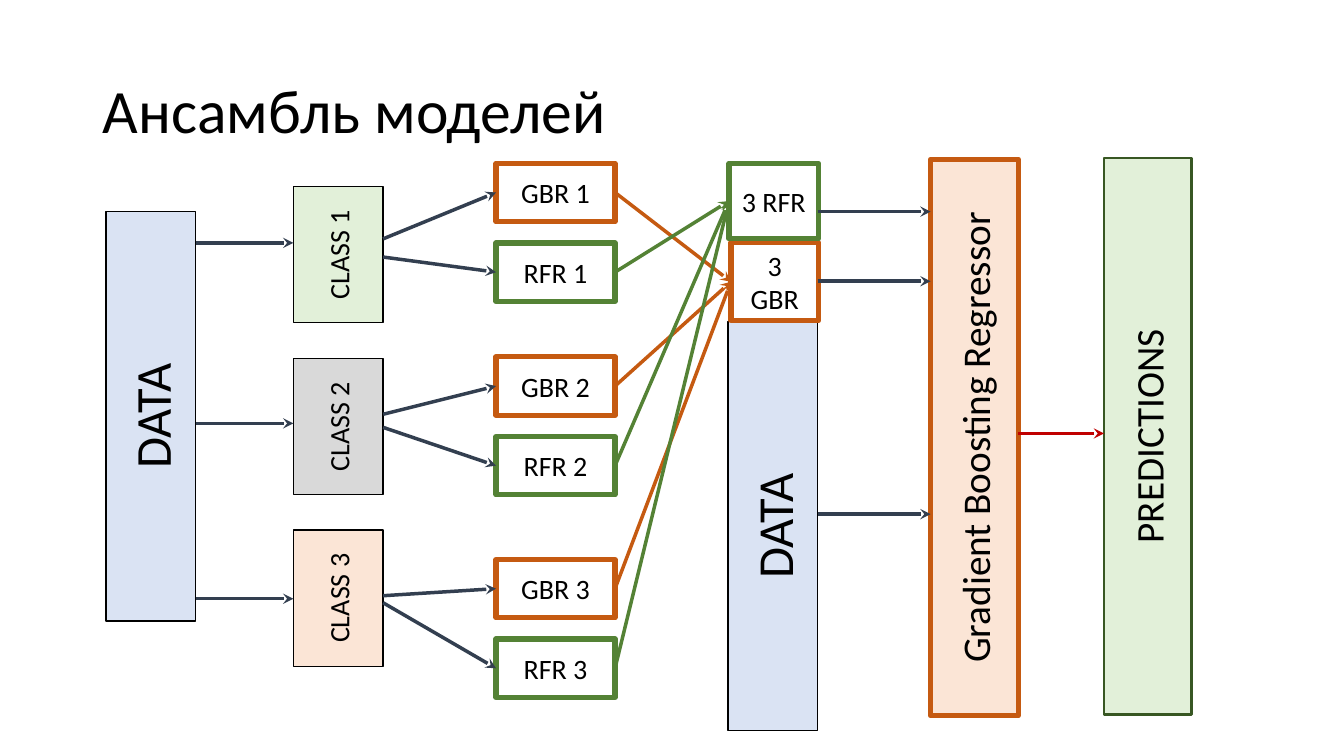
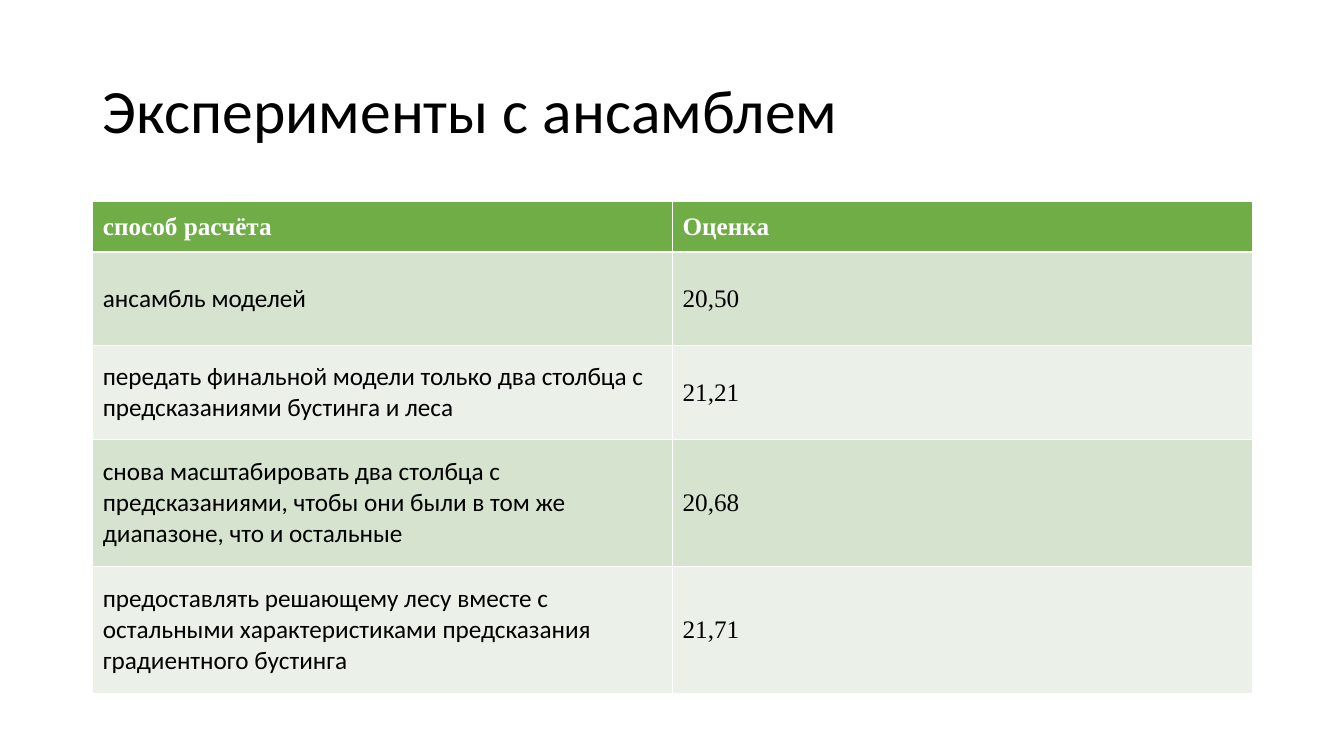
from lxml import etree
from pptx import Presentation
from pptx.dml.color import RGBColor
from pptx.enum.shapes import MSO_CONNECTOR, MSO_SHAPE
from pptx.enum.text import MSO_ANCHOR, PP_ALIGN
from pptx.oxml.ns import qn
from pptx.util import Inches, Pt

RECTANGLE = MSO_SHAPE.RECTANGLE
STRAIGHT = MSO_CONNECTOR.STRAIGHT
MIDDLE = MSO_ANCHOR.MIDDLE
LEFT, CENTER = PP_ALIGN.LEFT, PP_ALIGN.CENTER
LEFT_SITE, RIGHT_SITE = 1, 3

SANS, SERIF = "Calibri", "Times New Roman"
BLACK, WHITE = "000000", "FFFFFF"
ORANGE, GREEN, DARK_GREEN = "C55A11", "548235", "385723"
NAVY, RED = "333F50", "C00000"
PALE_BLUE, PALE_GREEN, PALE_ORANGE, GREY = "DAE3F3", "E2F0D9", "FBE5D6", "D9D9D9"
HEADER_FILL, BAND_FILLS = "70AD47", ("D5E3CF", "EBF1E9")

MARGIN, CONTENT_WIDTH = 0.92, 11.5

# Diagram columns: left edge and width
DATA_COLUMN = (1.05, 0.89)
CLASS_COLUMN = (2.91, 0.89)
MODEL_COLUMN = (4.92, 1.18)
STACK_COLUMN = (7.22, 0.89)
FINAL_COLUMN = (9.23, 0.87)
PREDICTION_COLUMN = (10.95, 0.87)

DATA_HEIGHT, FINAL_HEIGHT = 4.06, 5.52
CLASS_TOP, CLASS_HEIGHT, CLASS_STEP = 1.85, 1.35, 1.705
MODEL_HEIGHT, MODEL_STEP = 0.58, 0.79

# Name, fill, incoming arrow y, outgoing arrow ys, top of its first model
CLASSES = [
    ("CLASS 1", PALE_GREEN, 2.41, (2.37, 2.55), 1.62),
    ("CLASS 2", GREY, 4.2, (4.11, 4.24), 3.54),
    ("CLASS 3", PALE_ORANGE, 5.94, (5.91, 5.98), 5.55),
]
MODELS = [("GBR", ORANGE), ("RFR", GREEN)]
STACK_ARROWS = [2.1, 2.79, 5.1]
PREDICTION_ARROW = 4.3

TABLE_TOP = 2
ROW_HEIGHTS = [0.5, 0.93, 0.93, 1.26, 1.26]
ROWS = [
    ("способ расчёта", "Оценка"),
    ("ансамбль моделей", "20,50"),
    ("передать финальной модели только два столбца с предсказаниями бустинга и леса", "21,21"),
    ("снова масштабировать два столбца с предсказаниями, чтобы они были в том же "
     "диапазоне, что и остальные", "20,68"),
    ("предоставлять решающему лесу вместе с остальными характеристиками предсказания "
     "градиентного бустинга", "21,71"),
]


def color(hex_string):
    return RGBColor.from_string(hex_string)


def write(text_frame, text, size, font=SANS, ink=BLACK, bold=False, align=LEFT):
    text_frame.text = text
    paragraph = text_frame.paragraphs[0]
    paragraph.alignment = align
    for run in paragraph.runs:
        run.font.name, run.font.size, run.font.bold = font, Pt(size), bold
        run.font.color.rgb = color(ink)
    return paragraph


def add_titled_slide(presentation, title):
    slide = presentation.slides.add_slide(presentation.slide_layouts[5])
    placeholder = slide.shapes.title
    placeholder.left, placeholder.top = Inches(MARGIN), Inches(0.4)
    placeholder.width, placeholder.height = Inches(CONTENT_WIDTH), Inches(1.45)
    placeholder.text_frame.vertical_anchor = MIDDLE
    write(placeholder.text_frame, title, 44).line_spacing = 0.9
    return slide


def add_box(slide, text, column, top, height, fill, line=BLACK, line_width=1,
            size=20, upright=True):
    """Add a rectangle in a column; upright text reads from bottom to top."""
    left, width = column
    shape = slide.shapes.add_shape(
        RECTANGLE, Inches(left), Inches(top), Inches(width), Inches(height))
    shape.shadow.inherit = False
    shape.fill.solid()
    shape.fill.fore_color.rgb = color(fill)
    shape.line.color.rgb = color(line)
    shape.line.width = Pt(line_width)
    text_frame = shape.text_frame
    text_frame.word_wrap = True
    text_frame.vertical_anchor = MIDDLE
    write(text_frame, text, size, align=CENTER)
    if upright:
        shape.text_frame._txBody.bodyPr.set("vert", "vert270")
    return shape


def add_arrow(slide, start, end, line=NAVY):
    """Draw an arrow; each end is an (x, y) point or a shape to attach to."""
    points = [(0, 0) if hasattr(target, "text_frame") else target
              for target in (start, end)]
    arrow = slide.shapes.add_connector(
        STRAIGHT, *(Inches(value) for point in points for value in point))
    if hasattr(start, "text_frame"):
        arrow.begin_connect(start, RIGHT_SITE)
    if hasattr(end, "text_frame"):
        arrow.end_connect(end, LEFT_SITE)
    arrow.line.color.rgb = color(line)
    arrow.line.width = Pt(2.5)
    etree.SubElement(arrow.line._get_or_add_ln(), qn("a:tailEnd"), type="stealth")
    etree.SubElement(arrow._element.spPr, qn("a:effectLst"))


def right_edge(column):
    return sum(column)


def build_ensemble(presentation):
    slide = add_titled_slide(presentation, "Ансамбль моделей")
    add_box(slide, "DATA", DATA_COLUMN, 2.1, DATA_HEIGHT, PALE_BLUE, size=36)
    add_box(slide, "DATA", STACK_COLUMN, 3.19, DATA_HEIGHT, PALE_BLUE, size=36)
    stacked = {
        "GBR": add_box(slide, "3 GBR", (7.25, 0.87), 2.41, 0.77, WHITE, ORANGE, 3.75,
                       upright=False),
        "RFR": add_box(slide, "3 RFR", (7.23, 0.89), 1.62, 0.75, WHITE, GREEN, 3.75,
                       upright=False),
    }
    add_box(slide, "Gradient Boosting Regressor", FINAL_COLUMN, 1.58, FINAL_HEIGHT,
            PALE_ORANGE, ORANGE, 3.75, size=28)
    add_box(slide, "PREDICTIONS", PREDICTION_COLUMN, 1.57, FINAL_HEIGHT,
            PALE_GREEN, DARK_GREEN, 1.75, size=28)

    for index, (name, fill, entry, exits, model_top) in enumerate(CLASSES):
        add_box(slide, name, CLASS_COLUMN, CLASS_TOP + index * CLASS_STEP,
                CLASS_HEIGHT, fill)
        add_arrow(slide, (right_edge(DATA_COLUMN), entry), (CLASS_COLUMN[0], entry))
        for row, ((kind, line), exit_y) in enumerate(zip(MODELS, exits)):
            model = add_box(slide, f"{kind} {index + 1}", MODEL_COLUMN,
                            model_top + row * MODEL_STEP, MODEL_HEIGHT,
                            WHITE, line, 3.75, upright=False)
            add_arrow(slide, (right_edge(CLASS_COLUMN), exit_y), model)
            add_arrow(slide, model, stacked[kind], line)

    for y in STACK_ARROWS:
        add_arrow(slide, (right_edge(STACK_COLUMN), y), (FINAL_COLUMN[0], y))
    add_arrow(slide, (right_edge(FINAL_COLUMN), PREDICTION_ARROW),
              (PREDICTION_COLUMN[0], PREDICTION_ARROW), RED)


def build_experiments(presentation):
    slide = add_titled_slide(presentation, "Эксперименты с ансамблем")
    table = slide.shapes.add_table(
        len(ROWS), len(ROWS[0]), Inches(MARGIN), Inches(TABLE_TOP),
        Inches(CONTENT_WIDTH), Inches(sum(ROW_HEIGHTS))).table
    for row, (texts, height) in enumerate(zip(ROWS, ROW_HEIGHTS)):
        table.rows[row].height = Inches(height)
        header = row == 0
        fill = HEADER_FILL if header else BAND_FILLS[(row - 1) % 2]
        for column, text in enumerate(texts):
            cell = table.cell(row, column)
            cell.vertical_anchor = MIDDLE
            cell.fill.solid()
            cell.fill.fore_color.rgb = color(fill)
            write(cell.text_frame, text, 18,
                  font=SERIF if header or column == 1 else SANS,
                  ink=WHITE if header else BLACK, bold=header)


def main():
    presentation = Presentation()
    presentation.slide_width, presentation.slide_height = Inches(13.33), Inches(7.5)
    build_ensemble(presentation)
    build_experiments(presentation)
    presentation.save("out.pptx")


if __name__ == "__main__":
    main()
